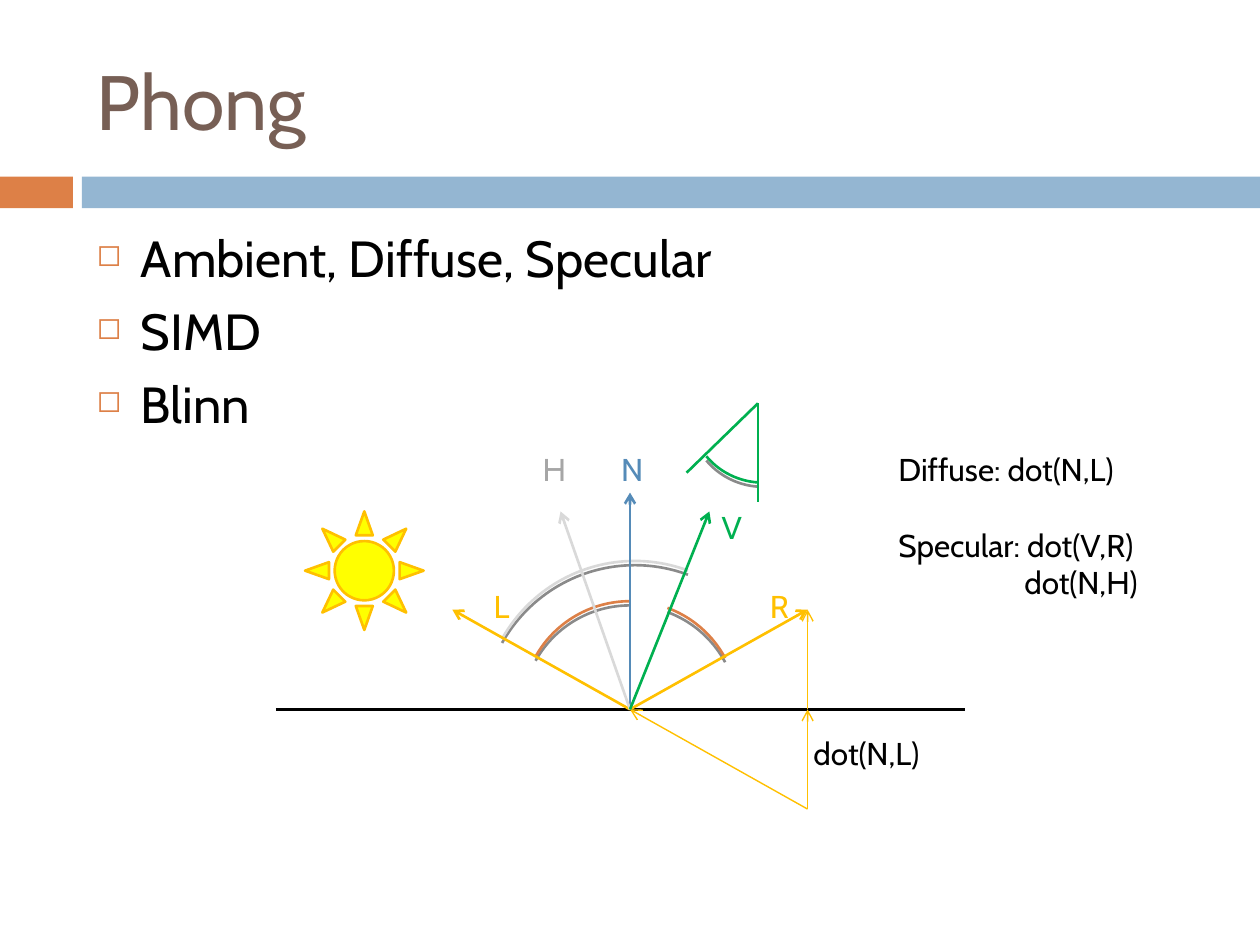
from dataclasses import dataclass

from lxml import etree
from pptx import Presentation
from pptx.dml.color import RGBColor
from pptx.enum.shapes import MSO_CONNECTOR, MSO_SHAPE
from pptx.enum.text import MSO_ANCHOR, MSO_AUTO_SIZE
from pptx.oxml.ns import qn
from pptx.util import Cm, Pt

STRAIGHT = MSO_CONNECTOR.STRAIGHT
RECTANGLE, SUN, ARC = MSO_SHAPE.RECTANGLE, MSO_SHAPE.SUN, MSO_SHAPE.ARC
MIDDLE, TOP = MSO_ANCHOR.MIDDLE, MSO_ANCHOR.TOP
FIT_SHAPE = MSO_AUTO_SIZE.SHAPE_TO_FIT_TEXT

Point = tuple[float, float]


@dataclass(frozen=True)
class Theme:
    font: str = "Cabin"
    black: str = "000000"
    brown: str = "775F55"
    orange: str = "DD8047"
    pale_blue: str = "94B6D2"
    blue: str = "558BB8"
    gold: str = "FFC000"
    yellow: str = "FFFF00"
    green: str = "00B050"
    silver: str = "D9D9D9"
    gray: str = "A6A6A6"
    title_size: float = 44
    bullet_size: float = 29
    label_size: float = 18
    thick: float = 1.5
    thin: float = 0.79


THEME = Theme()


@dataclass(frozen=True)
class Line:
    start: Point
    end: Point
    color: str
    width: float = THEME.thick
    arrow: bool = False


@dataclass(frozen=True)
class AngleArc:
    """Circular arc; degrees run clockwise from the right."""
    center: Point
    radius: float
    start: float
    end: float
    color: str


@dataclass(frozen=True)
class Paragraph:
    text: str
    space_before: float = 0
    indent: float = 0
    hanging: float = 0
    bullet: str = ""


@dataclass(frozen=True)
class Text:
    box: tuple[float, float, float, float]
    paragraphs: tuple[Paragraph, ...]
    size: float
    color: str
    wrap: bool = False
    anchor: MSO_ANCHOR = TOP


def label(left: float, top: float, width: float, text: str, color: str) -> Text:
    return Text((left, top, width, 1.02), (Paragraph(text),), THEME.label_size, color)


def add_child(parent, tag: str, **attributes: str):
    return etree.SubElement(parent, qn(tag), attributes)


def draw_line(slide, line: Line) -> None:
    ends = [Cm(value) for value in (*line.start, *line.end)]
    connector = slide.shapes.add_connector(STRAIGHT, *ends)
    connector.line.color.rgb = RGBColor.from_string(line.color)
    connector.line.width = Pt(line.width)
    if line.arrow:
        add_child(connector.line._get_or_add_ln(), "a:tailEnd", type="arrow")
    add_child(connector._element.spPr, "a:effectLst")


def draw_shape(slide, kind, box, fill: str, outline: str = ""):
    shape = slide.shapes.add_shape(kind, *[Cm(value) for value in box])
    shape.shadow.inherit = False
    if fill:
        shape.fill.solid()
        shape.fill.fore_color.rgb = RGBColor.from_string(fill)
    else:
        shape.fill.background()
    if outline:
        shape.line.color.rgb = RGBColor.from_string(outline)
        shape.line.width = Pt(THEME.thick)
    else:
        shape.line.fill.background()
    return shape


def draw_arc(slide, arc: AngleArc) -> None:
    x, y = arc.center
    box = (x - arc.radius, y - arc.radius, 2 * arc.radius, 2 * arc.radius)
    shape = draw_shape(slide, ARC, box, "", arc.color)
    # Adjustments count 100,000ths; a degree is 60,000 units
    shape.adjustments[0] = arc.start * 0.6
    shape.adjustments[1] = arc.end * 0.6
    effects = shape._element.spPr.find(qn("a:effectLst"))
    shadow = add_child(effects, "a:outerShdw", blurRad="0", dist=str(Pt(2.4)),
                       dir="5400000", rotWithShape="0")
    color = add_child(shadow, "a:srgbClr", val=THEME.black)
    add_child(color, "a:alpha", val="45000")


def draw_text(slide, text: Text) -> None:
    frame = slide.shapes.add_textbox(*[Cm(value) for value in text.box]).text_frame
    frame.word_wrap = text.wrap
    frame.vertical_anchor = text.anchor
    if not text.wrap:
        frame.auto_size = FIT_SHAPE
    for index, item in enumerate(text.paragraphs):
        paragraph = frame.add_paragraph() if index else frame.paragraphs[0]
        properties = paragraph._p.get_or_add_pPr()
        if item.indent:
            properties.set("marL", str(Cm(item.indent)))
            properties.set("indent", str(-Cm(item.hanging)))
        if item.space_before:
            paragraph.space_before = Pt(item.space_before)
        if item.bullet:
            add_child(add_child(properties, "a:buClr"), "a:srgbClr", val=THEME.orange)
            add_child(properties, "a:buSzPct", val="60000")
            add_child(properties, "a:buChar", char=item.bullet)
        run = paragraph.add_run()
        run.text = item.text
        run.font.name = THEME.font
        run.font.size = Pt(text.size)
        run.font.color.rgb = RGBColor.from_string(text.color)


# Geometry of the reflection diagram, in centimetres
GROUND_Y = 14.3
HIT = (12.7, GROUND_Y)
R_TIP = (16.28, 12.29)
L_TIP = (2 * HIT[0] - R_TIP[0], R_TIP[1])
R_FOOT = (R_TIP[0], GROUND_Y)
R_MIRROR = (R_TIP[0], 2 * GROUND_Y - R_TIP[1])
EYE = (15.28, 8.13)
LABEL_TOP = 8.94

TOPICS = ("Ambient, Diffuse, Specular", "SIMD", "Blinn")

TEXTS = (
    Text((1.7, 0.64, 22.66, 2.74), (Paragraph("Phong"),), THEME.title_size,
         THEME.brown, True, MIDDLE),
    Text((1.7, 4.45, 22.66, 12.5),
         tuple(Paragraph(topic, 7 if index else 0, 0.89, 0.89, "◻")
               for index, topic in enumerate(TOPICS)),
         THEME.bullet_size, THEME.black, True),
    label(9.7, 11.71, 0.84, "L", THEME.gold),
    label(15.27, 11.71, 0.89, "R", THEME.gold),
    label(12.27, LABEL_TOP, 0.99, "N", THEME.blue),
    label(14.3, 10.11, 0.79, "V", THEME.green),
    label(10.69, LABEL_TOP, 0.97, "H", THEME.gray),
    label(16.15, 14.68, 2.87, "dot(N,L)", THEME.black),
    Text((17.86, LABEL_TOP, 5.74, 3.3),
         (Paragraph("Diffuse: dot(N,L)"),
          Paragraph("Specular: dot(V,R)", space_before=21.8),
          Paragraph("dot(N,H)", indent=2.54)),
         THEME.label_size, THEME.black),
)

ARCS = (
    AngleArc((12.8, 14.38), 3.07, 209.3, 290.4, THEME.silver),
    AngleArc((15.38, 8.24), 1.49, 93.4, 139.9, THEME.green),
    AngleArc(HIT, 2.18, 290.3, 331.7, THEME.orange),
    AngleArc(HIT, 2.18, 209.2, 270, THEME.orange),
)

LINES = (
    Line((5.56, GROUND_Y), (19.46, GROUND_Y), THEME.black),
    Line(HIT, (HIT[0], 9.93), THEME.blue, arrow=True),
    Line(EYE, (EYE[0], 10.11), THEME.green),
    Line(EYE, (13.84, 9.53), THEME.green),
    Line(HIT, R_TIP, THEME.gold, arrow=True),
    Line(R_MIRROR, HIT, THEME.gold, THEME.thin, True),
    Line(R_FOOT, R_TIP, THEME.gold, THEME.thin, True),
    Line(R_MIRROR, R_FOOT, THEME.gold, THEME.thin, True),
    Line(HIT, L_TIP, THEME.gold, arrow=True),
    Line(HIT, (11.3, 10.31), THEME.silver, arrow=True),
    Line(HIT, (14.3, 10.31), THEME.green, arrow=True),
)


def main() -> None:
    deck = Presentation()
    deck.slide_width, deck.slide_height = Cm(25.4), Cm(19.05)
    slide = deck.slides.add_slide(deck.slide_layouts[6])

    # Header band
    draw_shape(slide, RECTANGLE, (0, 3.56, 1.47, 0.64), THEME.orange)
    draw_shape(slide, RECTANGLE, (1.65, 3.56, 23.75, 0.64), THEME.pale_blue)

    # Light source, angles and vectors
    draw_shape(slide, SUN, (6.15, 10.31, 2.39, 2.39), THEME.yellow, THEME.gold)
    for arc in ARCS:
        draw_arc(slide, arc)
    for line in LINES:
        draw_line(slide, line)

    # Title, topics, labels and formulas
    for text in TEXTS:
        draw_text(slide, text)

    deck.save("out.pptx")


if __name__ == "__main__":
    main()
